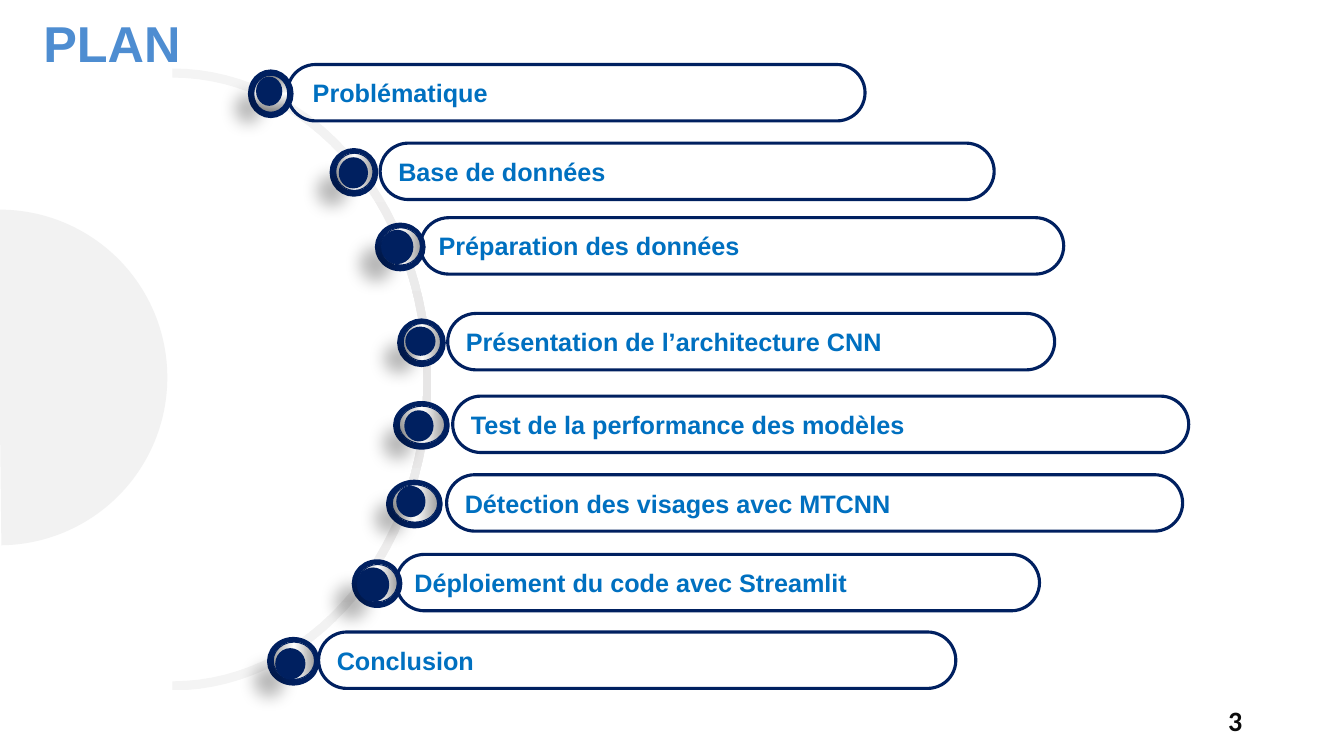
from math import cos, pi, sin

from lxml import etree
from pptx import Presentation
from pptx.dml.color import RGBColor
from pptx.enum.shapes import MSO_SHAPE as Shape
from pptx.enum.text import MSO_ANCHOR as Anchor, PP_ALIGN as Align
from pptx.oxml import parse_xml
from pptx.util import Inches, Pt

NAVY = RGBColor(0x00, 0x20, 0x60)
BLUE = RGBColor(0x00, 0x70, 0xC0)
TITLE_BLUE = RGBColor(0x4E, 0x8D, 0xD1)
PALE_GREY = RGBColor(0xF2, 0xF2, 0xF2)
BLACK = RGBColor(0x0D, 0x0D, 0x0D)
WHITE = RGBColor(0xFF, 0xFF, 0xFF)
DARK_EDGE = RGBColor(0x76, 0x76, 0x76)
LIGHT_EDGE = RGBColor(0xA2, 0xA2, 0xA2)
TRACK_EDGE = RGBColor(0xF4, 0xF4, 0xF4)
TRACK_MIDDLE = RGBColor(0xE7, 0xE6, 0xE6)
A_NS = 'xmlns:a="http://schemas.openxmlformats.org/drawingml/2006/main"'
DOT_SHADOW = (
    f'<a:effectLst {A_NS}><a:outerShdw blurRad="{Pt(11.8)}" dist="{Pt(19.7)}" '
    'dir="8460000" algn="ctr" rotWithShape="0"><a:srgbClr val="000000">'
    '<a:alpha val="28000"/></a:srgbClr></a:outerShdw></a:effectLst>')


def style(shape, fill=None, edge=None, middle=None, angle=0, line=None):
    """Give a solid fill, or a gradient running edge - middle - edge."""
    shape.shadow.inherit = False
    if edge is not None:
        shape.fill.gradient()
        shape.fill.gradient_angle = angle
        stops = shape.fill._fill._gradFill.gsLst
        for stop in list(stops):
            stops.remove(stop)
        for position, color in ((0, edge), (50000, middle), (100000, edge)):
            stops.append(parse_xml(f'<a:gs {A_NS} pos="{position}"><a:srgbClr val="{color}"/></a:gs>'))
    elif fill is not None:
        shape.fill.solid()
        shape.fill.fore_color.rgb = fill
    else:
        shape.fill.background()
    if line:
        shape.line.color.rgb = NAVY
        shape.line.width = Pt(line)
    else:
        shape.line.fill.background()


def write(box, text, size, color, font="Arial", align=Align.LEFT, anchor=Anchor.MIDDLE, wrap=True):
    frame = box.text_frame
    frame.word_wrap = wrap
    frame.vertical_anchor = anchor
    para = frame.paragraphs[0]
    para.alignment = align
    span = para.add_run()
    span.text = text
    span.font.size = Pt(size)
    span.font.name = font
    span.font.bold = True
    span.font.color.rgb = color


deck = Presentation()
deck.slide_width, deck.slide_height = Inches(13.33), Inches(7.5)
page = deck.slides.add_slide(deck.slide_layouts[6])
shapes = page.shapes

# Curved track: outer half ellipse downwards, inner one back up
STEPS = 60
angles = [-pi / 2 + pi * step / STEPS for step in range(STEPS + 1)]
outline = [(1.71 + 2.57 * cos(a), 3.765 + 3.085 * sin(a)) for a in angles]
outline += [(1.71 + 2.49 * cos(a), 3.765 + 2.995 * sin(a)) for a in reversed(angles)]
points = [(Inches(x), Inches(y)) for x, y in outline]
builder = shapes.build_freeform(*points[0])
builder.add_line_segments(points[1:], close=True)
style(builder.convert_to_shape(), edge=TRACK_EDGE, middle=TRACK_MIDDLE, angle=90)

half_disc = shapes.add_shape(Shape.ARC, Inches(-1.67), Inches(2.08), Inches(3.33), Inches(3.33))
half_disc.adjustments[0] = 162
half_disc.adjustments[1] = 53.598
style(half_disc, fill=PALE_GREY)

title = shapes.add_textbox(Inches(0.32), Inches(0.07), Inches(1.58), Inches(0.71))
write(title, "PLAN", 36, TITLE_BLUE, align=Align.CENTER, anchor=Anchor.TOP, wrap=False)

# text, text inset, bar (left, top, width), ring (left, width), dot (left, top, width, height)
sections = [
    ("Problématique", 0.17, (2.85, 0.64, 5.73), (2.49, 0.39), (2.54, 0.76, 0.26, 0.29)),
    ("Base de données", 0.1, (3.77, 1.42, 6.09), (3.3, 0.42), (3.36, 1.56, 0.29, 0.31)),
    ("Préparation des données", 0.1, (4.17, 2.16, 6.38), (3.75, 0.44), (3.78, 2.28, 0.32, 0.34)),
    ("Présentation de l’architecture CNN", 0.1, (4.44, 3.11, 6.02), (3.97, 0.42), (4.02, 3.24, 0.3, 0.29)),
    ("Test de la performance des modèles", 0.1, (4.49, 3.93, 7.3), (3.93, 0.5), (4.01, 4.07, 0.29, 0.31)),
    ("Détection des visages avec MTCNN", 0.1, (4.43, 4.71, 7.3), (3.86, 0.5), (3.93, 4.82, 0.29, 0.31)),
    ("Déploiement du code avec Streamlit", 0.1, (3.93, 5.5, 6.38), (3.52, 0.44), (3.54, 5.63, 0.32, 0.34)),
    ("Conclusion", 0.1, (3.16, 6.27, 6.32), (2.68, 0.46), (2.73, 6.43, 0.3, 0.31)),
]
for index, (text, inset, (left, top, width), (ring_left, ring_width), dot_frame) in enumerate(sections):
    bar = shapes.add_shape(Shape.ROUNDED_RECTANGLE, Inches(left), Inches(top), Inches(width), Inches(0.56))
    bar.adjustments[0] = 0.5
    style(bar, line=2.25)
    write(bar, text, 18, BLUE)
    bar.text_frame.margin_left = Inches(inset)

    ring = shapes.add_shape(
        Shape.OVAL, Inches(ring_left), Inches(top + 0.08), Inches(ring_width), Inches(0.42))
    style(ring, edge=DARK_EDGE, middle=WHITE, angle=90, line=4.5)
    if index > 0:
        inner_ring = shapes.add_shape(
            Shape.OVAL, Inches(ring_left + 0.03), Inches(top + 0.1), Inches(ring_width - 0.05), Inches(0.37))
        style(inner_ring, edge=LIGHT_EDGE, middle=WHITE, line=0.75)

    dot = shapes.add_shape(Shape.OVAL, *map(Inches, dot_frame))
    style(dot, fill=NAVY)
    properties = dot._element.spPr
    properties.replace(properties.find("{*}effectLst"), etree.fromstring(DOT_SHADOW))

page_number = shapes.add_textbox(Inches(9.42), Inches(6.95), Inches(3), Inches(0.4))
write(page_number, "3", 20, BLACK, font="Calibri", align=Align.RIGHT)

deck.save("out.pptx")
